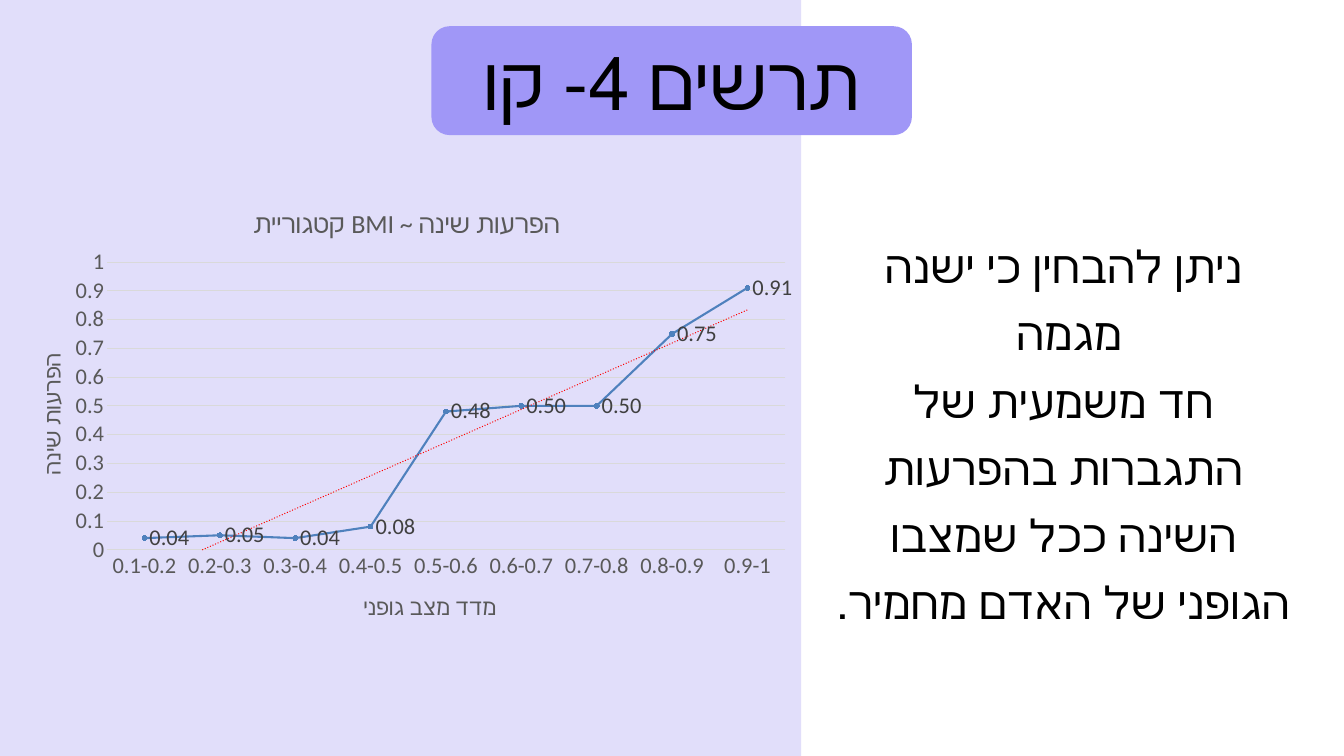
from lxml.etree import SubElement
from pptx import Presentation
from pptx.chart.data import CategoryChartData
from pptx.dml.color import RGBColor
from pptx.enum.chart import XL_CHART_TYPE, XL_LABEL_POSITION, XL_MARKER_STYLE, XL_TICK_MARK
from pptx.enum.shapes import MSO_SHAPE
from pptx.enum.text import MSO_ANCHOR, PP_ALIGN
from pptx.oxml import parse_xml
from pptx.oxml.ns import nsdecls, qn
from pptx.util import Inches, Pt

HEADING = "תרשים 4- קו"
BODY = "ניתן להבחין כי ישנה מגמה \vחד משמעית של התגברות בהפרעות השינה ככל שמצבו הגופני של האדם מחמיר."
CHART_TITLE = "קטגוריית BMI ~ הפרעות שינה"
CATEGORY_TITLE = "מדד מצב גופני"
VALUE_TITLE = "הפרעות שינה"
DISTURBANCE = {
    "0.1-0.2": 0.04, "0.2-0.3": 0.05, "0.3-0.4": 0.04,
    "0.4-0.5": 0.08, "0.5-0.6": 0.48, "0.6-0.7": 0.5,
    "0.7-0.8": 0.5, "0.8-0.9": 0.75, "0.9-1": 0.91,
}
THEME = {
    "font": "Calibri", "panel": "E1DEFA", "banner": "A097F7", "text": "000000",
    "axis": "595959", "grid": "D9D9D9", "line": "4F81BD", "trend": "FF0000",
    "label": "404040", "heading_size": 80, "body_size": 48,
    "chart_title_size": 28, "chart_size": 24,
}


def color(name):
    return RGBColor.from_string(THEME[name])


def style_font(font, size, color_name):
    font.name = THEME["font"]
    font.size = Pt(THEME[size])
    font.bold = False
    font.color.rgb = color(color_name)


def style_line(line, color_name, width):
    line.color.rgb = color(color_name)
    line.width = Pt(width)


def add_block(slide, preset, box, fill):
    shape = slide.shapes.add_shape(preset, *map(Inches, box))
    shape.shadow.inherit = False
    shape.fill.solid()
    shape.fill.fore_color.rgb = color(fill)
    shape.line.fill.background()
    return shape


def write_text(shape, text, size):
    frame = shape.text_frame
    frame.word_wrap = True
    frame.vertical_anchor = MSO_ANCHOR.MIDDLE
    frame.text = text
    paragraph = frame.paragraphs[0]
    paragraph.alignment = PP_ALIGN.CENTER
    style_font(paragraph.font, size, "text")
    return paragraph


def place(element, index, **position):
    for old in element.findall(qn("c:layout")):
        element.remove(old)
    layout = parse_xml(f"<c:layout {nsdecls('c')}><c:manualLayout/></c:layout>")
    manual = layout[0]
    if "w" in position:
        SubElement(manual, qn("c:layoutTarget")).set("val", "inner")
    for side in ("x", "y"):
        SubElement(manual, qn(f"c:{side}Mode")).set("val", "edge")
    for key, value in position.items():
        SubElement(manual, qn(f"c:{key}")).set("val", str(value))
    element.insert(index, layout)


def write_title(title, text, size, x, y):
    title.text_frame.text = text
    style_font(title.text_frame.paragraphs[0].font, size, "axis")
    place(title._element, 1, x=x, y=y)


def add_trend_line(series):
    trend = parse_xml(
        f"<c:trendline {nsdecls('c', 'a')}><c:spPr><a:ln w=\"{Pt(1.5)}\" cap=\"rnd\">"
        f"<a:solidFill><a:srgbClr val=\"{THEME['trend']}\"/></a:solidFill>"
        "<a:prstDash val=\"sysDot\"/></a:ln></c:spPr><c:trendlineType val=\"linear\"/>"
        "<c:dispRSqr val=\"0\"/><c:dispEq val=\"0\"/></c:trendline>"
    )
    series._element.find(qn("c:cat")).addprevious(trend)


def add_line_chart(slide, box):
    data = CategoryChartData()
    data.categories = list(DISTURBANCE)
    data.add_series("Series 1", list(DISTURBANCE.values()))
    chart = slide.shapes.add_chart(XL_CHART_TYPE.LINE_MARKERS, *map(Inches, box), data).chart
    chart.has_legend = False
    style_font(chart.font, "chart_size", "text")
    chart.has_title = True
    write_title(chart.chart_title, CHART_TITLE, "chart_title_size", 0.3, 0.03)

    category_axis, value_axis = chart.category_axis, chart.value_axis
    for axis in (category_axis, value_axis):
        axis.major_tick_mark = axis.minor_tick_mark = XL_TICK_MARK.NONE
        style_font(axis.tick_labels.font, "chart_size", "axis")
    write_title(category_axis.axis_title, CATEGORY_TITLE, "chart_size", 0.44, 0.9)
    write_title(value_axis.axis_title, VALUE_TITLE, "chart_size", 0.03, 0.36)
    style_line(category_axis.format.line, "grid", 0.75)
    value_axis.format.line.fill.background()
    value_axis.minimum_scale, value_axis.maximum_scale, value_axis.major_unit = 0, 1, 0.1
    style_line(value_axis.major_gridlines.format.line, "grid", 0.75)
    place(chart._chartSpace.chart.plotArea, 0, x=0.12, y=0.165, w=0.86, h=0.643)

    plot = chart.plots[0]
    plot.vary_by_categories = False
    series = plot.series[0]
    series.smooth = False
    style_line(series.format.line, "line", 2.25)
    series.marker.style = XL_MARKER_STYLE.CIRCLE
    series.marker.size = 5
    series.marker.format.fill.solid()
    series.marker.format.fill.fore_color.rgb = color("line")
    style_line(series.marker.format.line, "line", 0.75)
    labels = series.data_labels
    labels.show_value = True
    labels.number_format = "#,##0.00"
    labels.number_format_is_linked = False
    labels.position = XL_LABEL_POSITION.RIGHT
    style_font(labels.font, "chart_size", "label")
    add_trend_line(series)


def main():
    presentation = Presentation()
    presentation.slide_width, presentation.slide_height = Inches(20), Inches(11.25)
    slide = presentation.slides.add_slide(presentation.slide_layouts[6])

    add_block(slide, MSO_SHAPE.RECTANGLE, (0, 0, 11.92, 11.25), "panel")
    banner = add_block(slide, MSO_SHAPE.ROUNDED_RECTANGLE, (6.42, 0.39, 7.15, 1.62), "banner")
    write_text(banner, HEADING, "heading_size")

    body = slide.shapes.add_textbox(*map(Inches, (12.25, 2.21, 7.15, 8.29)))
    paragraph = write_text(body, BODY, "body_size")
    paragraph.line_spacing = 1.25
    paragraph.space_before = Pt(10)
    paragraph._p.get_or_add_pPr().set("rtl", "1")
    for run in paragraph.runs:
        run._r.get_or_add_rPr().set("spc", "50")

    add_line_chart(slide, (0.18, 2.8, 11.74, 6.66))
    presentation.save("out.pptx")


if __name__ == "__main__":
    main()
